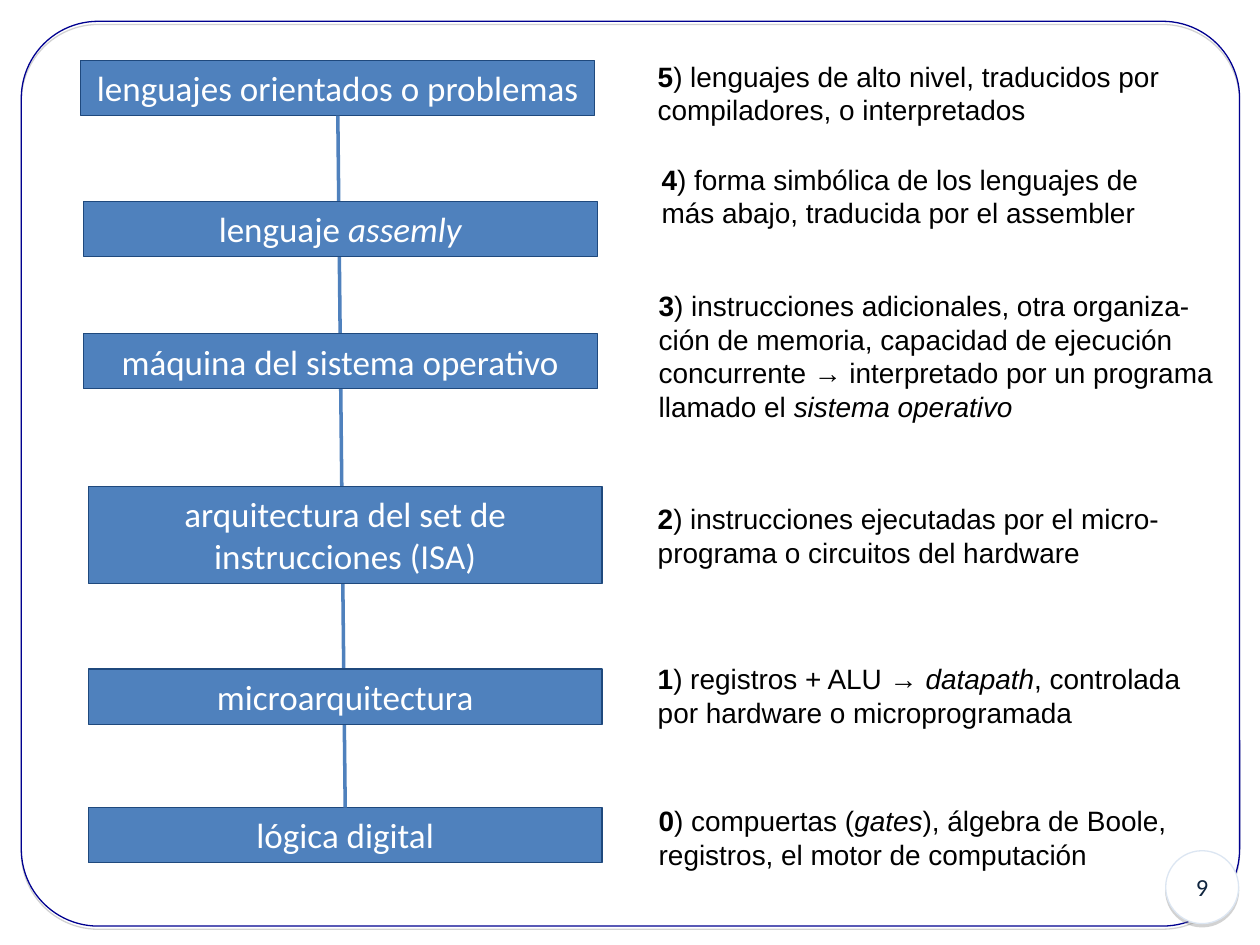
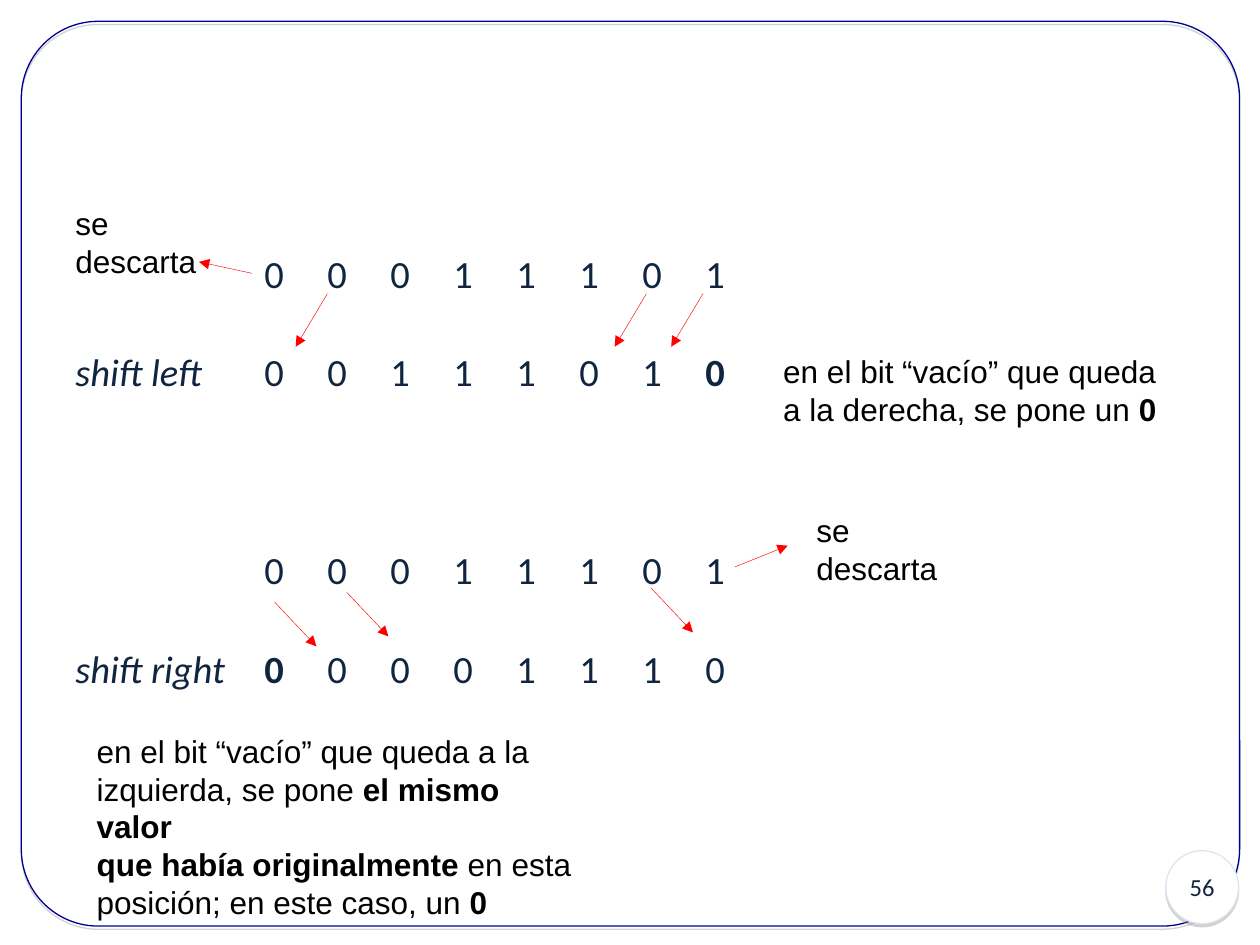
from dataclasses import dataclass
from lxml import etree
from pptx import Presentation
from pptx import util as u
from pptx.dml.color import RGBColor
from pptx.enum import shapes, text
from pptx.oxml import parse_xml
from pptx.oxml.ns import nsdecls, qn


@dataclass(frozen=True)
class Theme:
    """Colours, fonts and type sizes shared by the slides."""
    navy: str = "000090"
    ink: str = "10253F"
    black: str = "000000"
    white: str = "FFFFFF"
    red: str = "FF0000"
    blue: str = "4F81BD"
    blue_edge: str = "1F497D"
    badge_edge: str = "DCE6F2"
    shadow: str = "808080"
    heading_font: str = "Calibri"
    note_font: str = "Arial"
    badge: int = 14
    level_note: int = 16
    shift_note: int = 18
    level: int = 20
    bits: int = 22
    line_height: float = 26.8
    row_gap: int = 30


@dataclass(frozen=True)
class Box:
    """A region of the slide, in centimetres."""
    left: float
    top: float
    width: float
    height: float

    def inner(self, x, y, width, height):
        """Return a box placed relative to this one."""
        return Box(self.left + x, self.top + y, width, height)

    def emu(self):
        """Return left, top, width and height as lengths."""
        return [u.Cm(v) for v in (self.left, self.top, self.width, self.height)]


T = Theme()
FRAME = Box(0.43, 0.43, 24.56, 18.24)
LEVELS_AREA = Box(1.63, 1.07, 23.08, 16.8)
SHIFT_AREA = Box(1.27, 0.76, 22.86, 17.45)

LEVELS = [
    (0, 0.15, 1.11, "lenguajes orientados o problemas"),
    (0.05, 2.99, 1.11, "lenguaje _assemly_"),
    (0.05, 5.66, 1.11, "máquina del sistema operativo"),
    (0.15, 8.74, 1.95, "arquitectura del set de instrucciones (ISA)"),
    (0.15, 12.42, 1.11, "microarquitectura"),
    (0.15, 15.21, 1.11, "lógica digital"),
]
LEVEL_NOTES = [
    (11.38, 0, 10.62, ["*5*) lenguajes de alto nivel, traducidos por",
                       "compiladores, o interpretados"]),
    (11.46, 2.08, 10.11, ["*4*) forma simbólica de los lenguajes de",
                          "más abajo, traducida por el assembler"]),
    (11.4, 4.62, 11.68, ["*3*) instrucciones adicionales, otra organiza-",
                         "ción de memoria, capacidad de ejecución",
                         "concurrente → interpretado por un programa",
                         "llamado el _sistema operativo_"]),
    (11.38, 8.92, 10.62, ["*2*) instrucciones ejecutadas por el micro-",
                          "programa o circuitos del hardware"]),
    (11.38, 12.14, 11.07, ["*1*) registros + ALU → _datapath_, controlada",
                           "por hardware o microprogramada"]),
    (11.4, 15.01, 10.74, ["*0*) compuertas (_gates_), álgebra de Boole,",
                          "registros, el motor de computación"]),
]
BIT_ROWS = [
    ("", "0 0 0 1 1 1 0 1"),
    ("_shift left_", "0 0 1 1 1 0 1 *0*"),
    ("", "0 0 0 1 1 1 0 1"),
    ("_shift right_", "*0* 0 0 0 1 1 1 0"),
]
SHIFT_NOTES = [
    (14.27, 6.22, 8.03, ["en el bit “vacío” que queda", "a la derecha, se pone un *0*"]),
    (0.43, 13.87, 10.31, ["en el bit “vacío” que queda a la",
                          "izquierda, se pone *el mismo valor*",
                          "*que había originalmente* en esta",
                          "posición; en este caso, un *0*"]),
    (0, 3.23, 3.78, ["se descarta"]),
    (14.94, 9.42, 3.78, ["se descarta"]),
]
ARROWS = [
    ((-0.64, 1.07), [(12.9, 5.16), (11.76, 5.16), (5.33, 5.16)]),
    ((0.84, 0.89), [(11.86, 11.1), (4.27, 11.38), (5.72, 11.18)]),
    ((-1.07, -0.23), [(3.81, 4.75)]),
    ((1.07, -0.43), [(13.54, 10.67)]),
]


def rgb(color):
    """Turn a hex string into a colour."""
    return RGBColor.from_string(color)


def add_runs(p, marked):
    """Fill a paragraph, with *bold* and _italic_ marks."""
    for i, part in enumerate(marked.split("*")):
        for j, piece in enumerate(part.split("_")):
            if piece:
                r = p.add_run()
                r.text = piece
                if i % 2:
                    r.font.bold = True
                if j % 2:
                    r.font.italic = True


def write(tf, lines, font, size, color, align=text.PP_ALIGN.LEFT):
    """Write one paragraph per line and return the paragraphs."""
    for i, line in enumerate(lines):
        p = tf.add_paragraph() if i else tf.paragraphs[0]
        p.alignment = align
        p.font.name, p.font.size = font, u.Pt(size)
        p.font.color.rgb = rgb(color)
        add_runs(p, line)
    return tf.paragraphs


def add_outlined(s, kind, box, edge, fill=None):
    """Add a preset shape with a thin outline and no shadow."""
    sp = s.shapes.add_shape(kind, *box.emu())
    sp.shadow.inherit = False
    sp.line.color.rgb, sp.line.width = rgb(edge), u.Pt(0.75)
    if fill:
        sp.fill.solid()
        sp.fill.fore_color.rgb = rgb(fill)
    else:
        sp.fill.background()
    return sp


def drop_shadow(sp):
    """Give a shape a soft shadow straight below it."""
    effects = sp._element.spPr.find(qn("a:effectLst"))
    effects.append(parse_xml(
        f'<a:outerShdw {nsdecls("a")} dist="{u.Pt(1.8)}" dir="5400000">'
        f'<a:srgbClr val="{T.shadow}"><a:alpha val="35000"/></a:srgbClr></a:outerShdw>'))


def add_line(s, start, end, color, width):
    """Add a straight connector between two points in centimetres."""
    ends = [u.Cm(v) for v in (*start, *end)]
    cx = s.shapes.add_connector(shapes.MSO_CONNECTOR.STRAIGHT, *ends)
    cx.line.color.rgb, cx.line.width = rgb(color), u.Pt(width)
    etree.SubElement(cx._element.spPr, qn("a:effectLst"))
    return cx


def add_notes(s, area, notes, size):
    """Place unwrapped notes whose height follows their line count."""
    for x, y, width, lines in notes:
        height = 0.26 + 0.0423 * size * len(lines)
        tf = s.shapes.add_textbox(*area.inner(x, y, width, height).emu()).text_frame
        tf.word_wrap = False
        tf.auto_size = text.MSO_AUTO_SIZE.SHAPE_TO_FIT_TEXT
        write(tf, lines, T.note_font, size, T.black)


def add_frame(s, box, number):
    """Draw the rounded frame and the page number badge."""
    frame = add_outlined(s, shapes.MSO_SHAPE.ROUNDED_RECTANGLE, box, T.navy)
    frame.adjustments[0] = 0.085
    badge = add_outlined(s, shapes.MSO_SHAPE.OVAL, box.inner(23.07, 16.72, 1.47, 1.47),
                         T.badge_edge, T.white)
    for sp in (frame, badge):
        drop_shadow(sp)
    tf = badge.text_frame
    tf.vertical_anchor = text.MSO_ANCHOR.MIDDLE
    write(tf, [str(number)], T.heading_font, T.badge, T.ink, text.PP_ALIGN.CENTER)


def add_level(s, area, x, y, height, label):
    """Add one level of the machine stack."""
    sp = add_outlined(s, shapes.MSO_SHAPE.RECTANGLE, area.inner(x, y, 10.36, height),
                      T.blue_edge, T.blue)
    tf = sp.text_frame
    tf.word_wrap = True
    tf.vertical_anchor = text.MSO_ANCHOR.TOP
    write(tf, [label], T.heading_font, T.level, T.white, text.PP_ALIGN.CENTER)
    return sp


def add_levels(s, area):
    """Draw the stack of levels, its spine and the notes beside it."""
    first, *middle, last = LEVELS
    top, bottom = add_level(s, area, *first), add_level(s, area, *last)
    spine = add_line(s, (0, 0), (0, 0), T.blue, 2)
    spine.begin_connect(top, 2)
    spine.end_connect(bottom, 0)
    for level in middle:
        add_level(s, area, *level)
    add_notes(s, area, LEVEL_NOTES, T.level_note)


def add_bits(s, area):
    """Write the bit rows in tabbed columns."""
    tf = s.shapes.add_textbox(*area.emu()).text_frame
    tf.word_wrap = True
    tf.vertical_anchor = text.MSO_ANCHOR.MIDDLE
    rows = ["\t".join((label, *bits.split())) for label, bits in BIT_ROWS]
    paragraphs = write(tf, rows, T.heading_font, T.bits, T.ink)
    for i, p in enumerate(paragraphs):
        skipped = T.row_gap + T.line_height if i == 2 else 0
        p.space_before = u.Pt(T.row_gap + skipped)
        tabs = etree.Element(qn("a:tabLst"))
        for column in range(8):
            etree.SubElement(tabs, qn("a:tab"), pos=str(u.Cm(3.81 + 1.27 * column)), algn="l")
        p._p.pPr.find(qn("a:defRPr")).addprevious(tabs)


def add_shifts(s, area):
    """Show both shifts with their arrows and notes."""
    add_bits(s, area)
    for (dx, dy), starts in ARROWS:
        for x, y in starts:
            x, y = area.left + x, area.top + y
            arrow = add_line(s, (x, y), (x + dx, y + dy), T.red, 0.25)
            etree.SubElement(arrow.line._get_or_add_ln(), qn("a:tailEnd"), type="triangle")
    add_notes(s, area, SHIFT_NOTES, T.shift_note)


def main():
    """Build the deck."""
    prs = Presentation()
    prs.slide_width, prs.slide_height = u.Cm(25.4), u.Cm(19.05)
    for number, region, area in ((9, add_levels, LEVELS_AREA), (56, add_shifts, SHIFT_AREA)):
        s = prs.slides.add_slide(prs.slide_layouts[6])
        add_frame(s, FRAME, number)
        region(s, area)
    prs.save("out.pptx")


if __name__ == "__main__":
    main()
